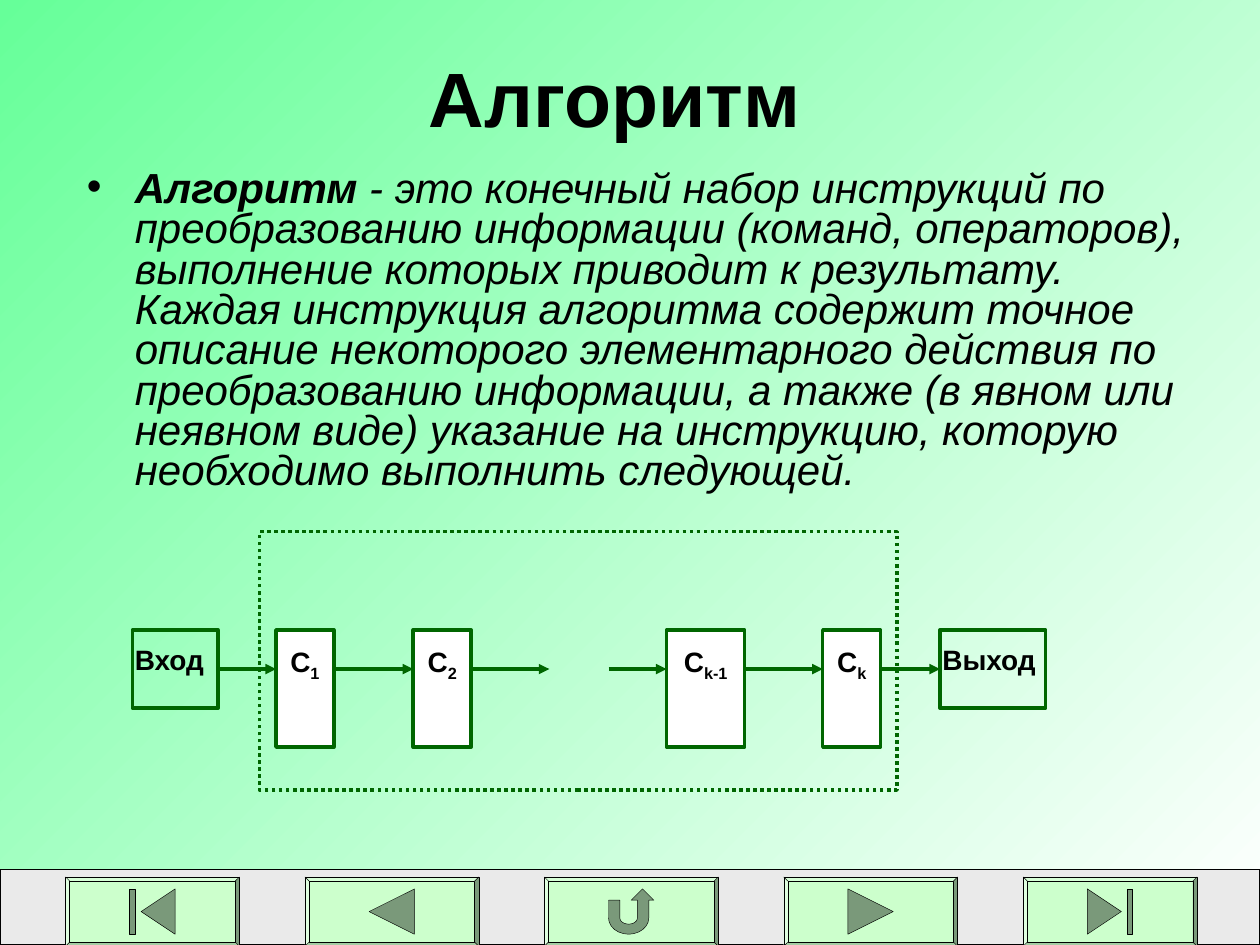
import math

from lxml import etree
from pptx import Presentation
from pptx.dml.color import RGBColor
from pptx.enum.dml import MSO_LINE
from pptx.enum.shapes import MSO_CONNECTOR, MSO_SHAPE
from pptx.enum.text import MSO_ANCHOR, MSO_AUTO_SIZE, PP_ALIGN
from pptx.oxml.ns import qn
from pptx.util import Inches, Pt

RECTANGLE, BEVEL = MSO_SHAPE.RECTANGLE, MSO_SHAPE.BEVEL
STRAIGHT = MSO_CONNECTOR.STRAIGHT
DOTTED = MSO_LINE.ROUND_DOT
LEFT, CENTER = PP_ALIGN.LEFT, PP_ALIGN.CENTER
TOP, MIDDLE = MSO_ANCHOR.TOP, MSO_ANCHOR.MIDDLE
NO_AUTOFIT = MSO_AUTO_SIZE.NONE
LEFT_SIDE, RIGHT_SIDE = 1, 3

FONT = "Arial"
COLORS = {
    "text": "000000",
    "white": "FFFFFF",
    "mint": "66FF99",
    "diagram": "006600",
    "bar": "EAEAEA",
    "button": "CCFFCC",
    "icon": "7A997A",
}

TERM = "Алгоритм "
DEFINITION = (
    "- это конечный набор инструкций по преобразованию информации (команд, "
    "операторов), выполнение которых приводит к результату. Каждая инструкция "
    "алгоритма содержит точное описание некоторого элементарного действия по "
    "преобразованию информации, а также (в явном или неявном виде) указание на "
    "инструкцию, которую необходимо выполнить следующей."
)

# Diagram: letter, subscript, left, width
STEPS = [("С", "1", 2.19, 0.46), ("С", "2", 3.28, 0.46),
         ("С", "k-1", 5.29, 0.62), ("C", "k", 6.53, 0.46)]
STEP_TOP, STEP_HEIGHT, END_HEIGHT = 5, 0.93, 0.62
FLOW_Y = STEP_TOP + END_HEIGHT / 2
FLOW_ARROWS = [(2.66, 3.28), (3.74, 4.36), (4.83, 5.29), (5.91, 6.53)]

# Navigation buttons
BUTTON_LEFT, BUTTON_TOP, BUTTON_PITCH = 0.52, 6.96, 1.9
BUTTON_WIDTH, BUTTON_HEIGHT = 1.38, 0.55
ICON_HALF = 0.18


def rgb(name):
    return RGBColor.from_string(COLORS[name])


def place(shape, left, top, width, height):
    shape.left, shape.top = Inches(left), Inches(top)
    shape.width, shape.height = Inches(width), Inches(height)


def format_run(run, size, bold=False, italic=False):
    font = run.font
    font.name, font.size = FONT, Pt(size)
    font.bold, font.italic = bold, italic
    font.color.rgb = rgb("text")


def paint(shape, fill, line, line_width):
    shape.shadow.inherit = False
    if fill:
        shape.fill.solid()
        shape.fill.fore_color.rgb = rgb(fill)
    else:
        shape.fill.background()
    shape.line.color.rgb = rgb(line)
    shape.line.width = Pt(line_width)


def add_box(slide, kind, bounds, fill, line, line_width):
    box = slide.shapes.add_shape(kind, *map(Inches, bounds))
    paint(box, fill, line, line_width)
    return box


def add_diagram_box(slide, bounds, fill, text, subscript="", align=LEFT):
    box = add_box(slide, RECTANGLE, bounds, fill, "diagram", 2)
    frame = box.text_frame
    frame.vertical_anchor = TOP
    frame.margin_left = frame.margin_right = Inches(0.02)
    frame.margin_top = frame.margin_bottom = Inches(0.01)
    paragraph = frame.paragraphs[0]
    paragraph.text = text
    paragraph.alignment, paragraph.line_spacing = align, 1.35
    if subscript:
        index = paragraph.add_run()
        index.text = subscript
        index.font._element.set("baseline", "-25000")
    for run in paragraph.runs:
        format_run(run, 16, bold=True)
    return box


def add_arrow(slide, start, end):
    arrow = slide.shapes.add_connector(
        STRAIGHT, Inches(start), Inches(FLOW_Y), Inches(end), Inches(FLOW_Y))
    arrow.line.color.rgb = rgb("diagram")
    arrow.line.width = Pt(2)
    etree.SubElement(arrow.line._get_or_add_ln(), qn("a:tailEnd"), type="triangle")
    etree.SubElement(arrow._element.spPr, qn("a:effectLst"))
    return arrow


def add_icon_part(slide, center_x, points):
    center_y = BUTTON_TOP + BUTTON_HEIGHT / 2
    outline = [(Inches(center_x + x), Inches(center_y + y)) for x, y in points]
    builder = slide.shapes.build_freeform(*outline[0])
    builder.add_line_segments(outline[1:], close=True)
    paint(builder.convert_to_shape(), "icon", "text", 0.25)


def triangle(base_x, tip_x):
    return [(base_x, -ICON_HALF), (tip_x, 0), (base_x, ICON_HALF)]


def end_bar(outer_x, inner_x):
    return [(outer_x, -ICON_HALF), (inner_x, -ICON_HALF),
            (inner_x, ICON_HALF), (outer_x, ICON_HALF)]


def half_turn(center_x, center_y, radius_x, radius_y, angles):
    return [(center_x + radius_x * math.cos(math.radians(a)),
             center_y + radius_y * math.sin(math.radians(a))) for a in angles]


def return_arrow():
    inner = half_turn(-0.02, 0.05, 0.07, 0.05, range(180, -1, -15))
    outer = half_turn(-0.02, 0.05, 0.16, 0.13, range(0, 181, 15))
    head = [(0.05, -0.09), (0, -0.09), (0.09, -ICON_HALF), (0.18, -0.09), (0.14, -0.09)]
    return [(-0.18, -0.09), (-0.09, -0.09)] + inner + head + outer


def add_title_and_definition(slide):
    title = slide.shapes.title
    place(title, 0.43, 0.3, 9.07, 0.93)
    title.text_frame.text = TERM
    title.text_frame.vertical_anchor = MIDDLE
    title.text_frame.auto_size = NO_AUTOFIT
    heading = title.text_frame.paragraphs[0]
    heading.alignment = CENTER
    format_run(heading.runs[0], 44, bold=True)

    body = slide.placeholders[1]
    place(body, 0.59, 1.31, 8.98, 3.94)
    body.text_frame.auto_size = NO_AUTOFIT
    paragraph = body.text_frame.paragraphs[0]
    paragraph.text = TERM
    paragraph.add_run().text = DEFINITION
    paragraph.line_spacing, paragraph.space_before = 0.8, Pt(6)
    term, definition = paragraph.runs
    format_run(term, 24, bold=True, italic=True)
    format_run(definition, 24, italic=True)
    properties = paragraph._p.get_or_add_pPr()
    properties.set("marL", str(Inches(0.38)))
    properties.set("indent", str(Inches(-0.38)))
    etree.SubElement(properties, qn("a:buChar"), char="•")


def add_flow_diagram(slide):
    for letter, subscript, left, width in STEPS:
        add_diagram_box(slide, (left, STEP_TOP, width, STEP_HEIGHT),
                        "white", letter, subscript, CENTER)
    for start, end in FLOW_ARROWS:
        add_arrow(slide, start, end)
    entry = add_diagram_box(slide, (1.05, STEP_TOP, 0.68, END_HEIGHT), None, "Вход")
    result = add_diagram_box(slide, (7.46, STEP_TOP, 0.84, END_HEIGHT), None, "Выход")
    add_arrow(slide, 1.73, 2.19).begin_connect(entry, RIGHT_SIDE)
    add_arrow(slide, 7, 7.46).end_connect(result, LEFT_SIDE)
    frame = add_box(slide, RECTANGLE, (2.06, 4.22, 5.06, 2.05), None, "diagram", 2)
    frame.line.dash_style = DOTTED


def add_navigation(slide):
    add_box(slide, RECTANGLE, (0, 6.9, 10, 0.6), "bar", "text", 0.75)
    icons = [
        [triangle(0.18, -0.09), end_bar(-0.18, -0.14)],  # first
        [triangle(0.18, -0.18)],  # previous
        [return_arrow()],  # return
        [triangle(-0.18, 0.18)],  # next
        [triangle(-0.18, 0.09), end_bar(0.18, 0.14)],  # last
    ]
    for number, parts in enumerate(icons):
        left = BUTTON_LEFT + number * BUTTON_PITCH
        button = add_box(slide, BEVEL, (left, BUTTON_TOP, BUTTON_WIDTH, BUTTON_HEIGHT),
                         "button", "text", 0.25)
        button.adjustments[0] = 0.06
        for points in parts:
            add_icon_part(slide, left + BUTTON_WIDTH / 2, points)


def main():
    deck = Presentation()
    deck.slide_width, deck.slide_height = Inches(10), Inches(7.5)
    slide = deck.slides.add_slide(deck.slide_layouts[1])

    # Diagonal background
    background = slide.background.fill
    background.gradient()
    background.gradient_angle = 135
    for stop, color in zip(background.gradient_stops, ("white", "mint")):
        stop.color.rgb = rgb(color)

    add_title_and_definition(slide)
    add_navigation(slide)
    add_flow_diagram(slide)
    deck.save("out.pptx")


if __name__ == "__main__":
    main()
